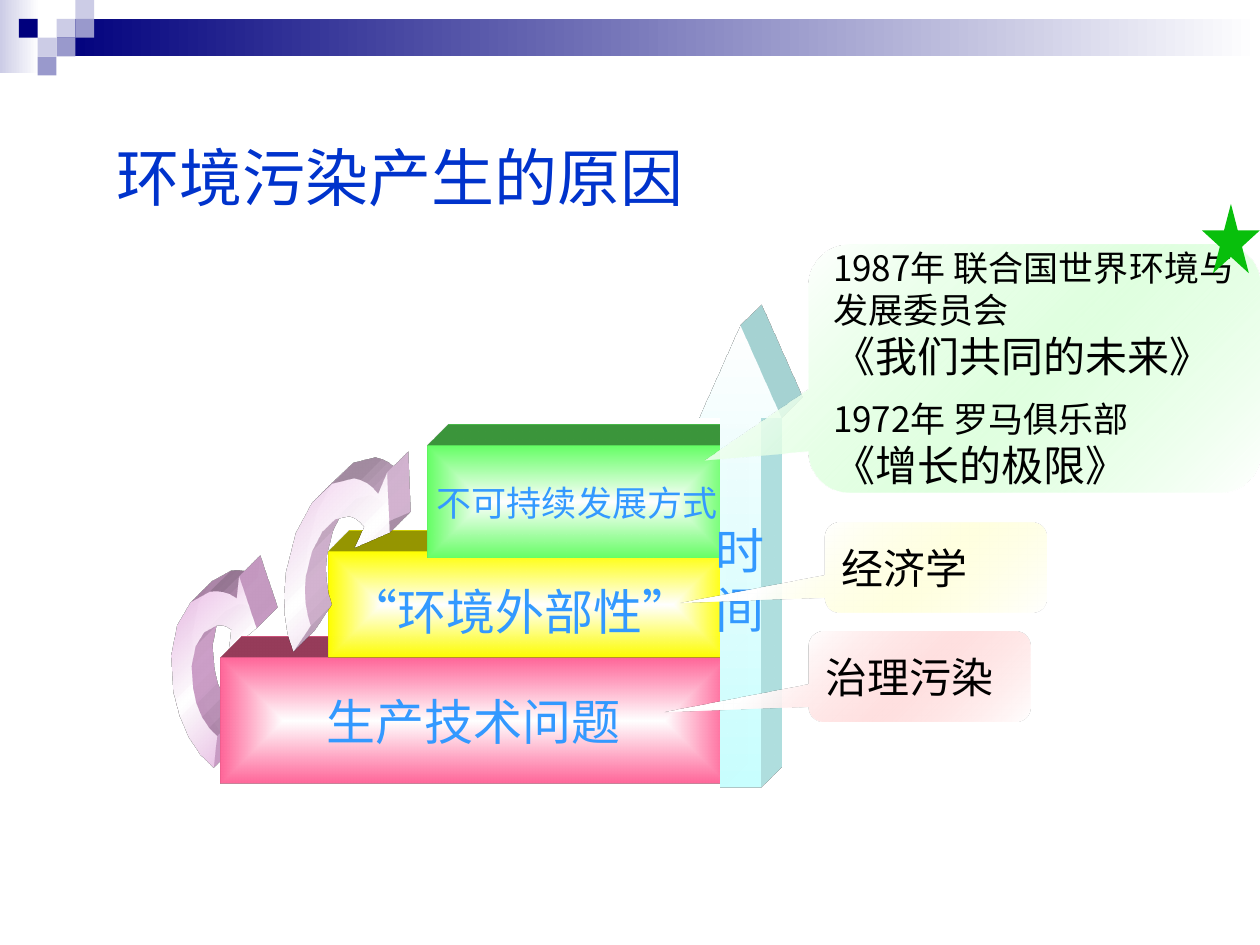
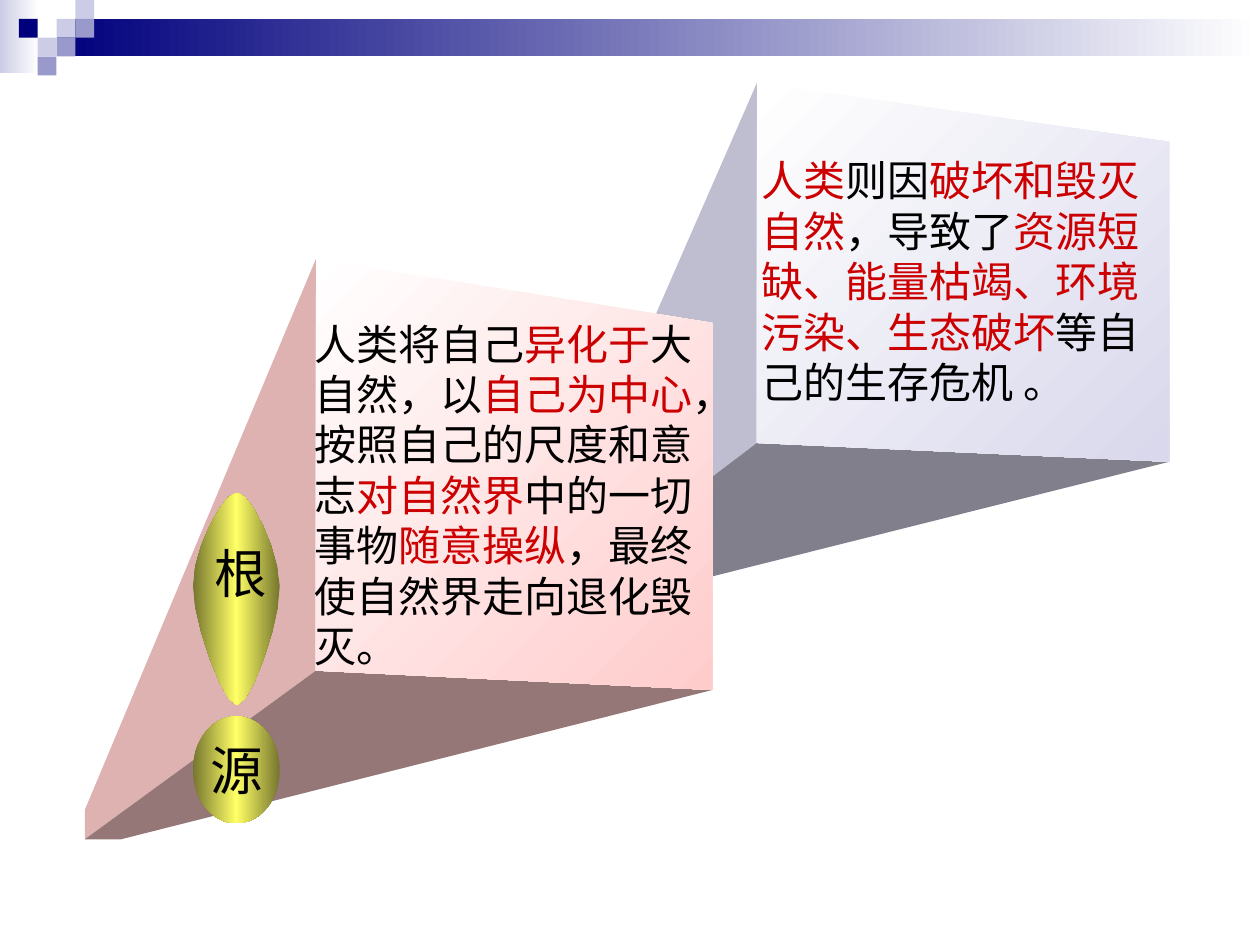
from lxml import etree
from pptx import Presentation
from pptx.dml.color import RGBColor
from pptx.enum.shapes import MSO_SHAPE
from pptx.enum.text import MSO_ANCHOR, MSO_AUTO_SIZE, PP_ALIGN
from pptx.oxml.ns import qn
from pptx.util import Cm, Pt

RECT, OVAL, STAR = MSO_SHAPE.RECTANGLE, MSO_SHAPE.OVAL, MSO_SHAPE.STAR_5_POINT
CALLOUT, UP_ARROW = MSO_SHAPE.ROUNDED_RECTANGULAR_CALLOUT, MSO_SHAPE.UP_ARROW
TOP, MIDDLE = MSO_ANCHOR.TOP, MSO_ANCHOR.MIDDLE
LEFT, CENTER = PP_ALIGN.LEFT, PP_ALIGN.CENTER


class Theme:
    font, quote_font, latin_font = "Noto Sans CJK SC", "DejaVu Sans", "Times New Roman"
    title, label, ink, accent = "0033CC", "3399FF", "000000", "CC0000"
    navy, violet, lilac, white = "00007D", "9999CC", "CCCCE6", "FFFFFF"
    star, time = "08BF0C", "C9FFFF"
    gold = [(0, "76762F"), (50, "FFFF66"), (100, "76762F")]
    title_size, label_size, root_size = 36, 28, 30
    body_size, note_size = 24, 20


# Lengths are centimetres; a box is left, top, width, height.
CELL = 0.38
CELLS = [(3, 1, Theme.lilac), (4, 0, Theme.lilac), (4, 1, Theme.violet),
         (2, 2, Theme.lilac), (1, 1, Theme.navy), (3, 2, Theme.violet),
         (2, 3, Theme.violet)]
FADES = [((0, 0, 0.79, 1.47), Theme.lilac), ((1.14, 0.38, 24.26, 0.76), Theme.navy)]

TITLE = "环境污染产生的原因"
TITLE_BOX = (2.09, 2.66, 19, 1.63)

DEPTH = 1.2
# box, fill, size, spans of (text, colour, font, size)
STAIRS = [
    ((4.45, 13.26, 10.19, 2.54), "FF6699", Theme.label_size, [("生产技术问题",)]),
    ((6.63, 11.13, 8, 2.13), "FFFF00", Theme.label_size,
     [("“", None, Theme.quote_font), ("环境外部性",), ("”", None, Theme.quote_font),
      (" ", None, Theme.font, 36)]),
    ((8.61, 8.99, 6.05, 2.26), "66FF66", Theme.note_size, [("不可持续发展方式",)]),
]
TIME_BOX = (14.1, 6.57, 1.65, 9.3)
TIME_HEAD = 1.13
TIME_TEXT = ["时", "间"]

# Outlines: a pair is a corner, three pairs are a Bezier curve.
LOWER_SWIRL = [
    (4.67, 12.7), ((4.57, 12.62), (4.47, 12.6), (4.37, 12.62)),
    ((4.01, 12.67), (3.78, 13.26), (3.91, 13.89)),
    ((3.96, 14.3), (4.17, 14.66), (4.39, 14.83)), (4.32, 15.47),
    ((3.94, 15.19), (3.63, 14.61), (3.51, 13.94)),
    ((3.33, 12.93), (3.66, 12.04), (4.24, 11.94)),
    ((4.42, 11.91), (4.6, 11.94), (4.78, 12.07)),
    (4.83, 11.63), (5.18, 12.67), (4.62, 13.13)]
UPPER_SWIRL = [
    (7.34, 10.62), ((7.24, 10.49), (7.14, 10.44), (7.04, 10.41)),
    ((6.65, 10.36), (6.27, 10.9), (6.17, 11.61)),
    ((6.12, 11.96), (6.17, 12.34), (6.27, 12.6)), (5.92, 13.13),
    ((5.74, 12.73), (5.69, 12.14), (5.77, 11.53)),
    ((5.92, 10.41), (6.55, 9.58), (7.14, 9.65)),
    ((7.32, 9.68), (7.49, 9.78), (7.62, 9.96)),
    (7.8, 9.53), (7.85, 10.74), (7.14, 11.05)]
LENS = [
    (4.78, 14.22), ((4.5, 14.22), (3.89, 12.52), (3.89, 11.81)),
    ((3.89, 11.07), (4.5, 9.93), (4.78, 9.93)),
    ((5.05, 9.93), (5.61, 11.07), (5.64, 11.81)),
    ((5.66, 12.52), (5.05, 14.22), (4.78, 14.22))]

# box, tint, tail position, paragraphs of (text, size, space before)
NOTES = [
    ((16.3, 4.93, 9.1, 5), "CCFFCC", (-0.73, 0.37), [
        ("1987年 联合国世界环境与发展委员会", Theme.note_size, 0),
        ("《我们共同的未来》", Theme.body_size, 0),
        ("1972年 罗马俱乐部", Theme.note_size, 9.6),
        ("《增长的极限》", Theme.body_size, 0)]),
    ((16.62, 10.54, 4.47, 1.8), "FFFFCC", (-1.15, 0.39),
     [("经济学", Theme.body_size, 0)]),
    ((16.31, 12.74, 4.47, 1.8), "FFCCCC", (-1.15, 0.39),
     [("治理污染", Theme.body_size, 0)]),
]
STAR_BOX = (24.23, 4.11, 1.17, 1.4)

RED = Theme.accent
# Front corners run clockwise from top left; back corners: top left, bottom left, bottom right.
PRISMS = [
    dict(front=[(15.26, 1.67), (23.57, 2.86), (23.57, 9.31), (15.26, 8.93)],
         back=[(10.81, 11.85), (10.81, 12.3), (11.49, 12.34)],
         tint="D9D8EC", side="BFBDD0", base="817F8B",
         box=(15.11, 3, 8.61, 5.33), font=Theme.font,
         spans=[("人类", RED), ("则因",), ("破坏和毁灭自然", RED), ("，导致了",),
                ("资源短缺、能量枯竭、环境污染、生态破坏", RED), ("等自己的生存危机 。",)]),
    dict(front=[(6.37, 5.22), (14.36, 6.51), (14.36, 13.91), (6.37, 13.52)],
         back=[(1.71, 16.33), (1.71, 16.92), (2.44, 16.92)],
         tint="FFCCCC", side="DFB2B2", base="967777",
         box=(6.1, 6.29, 8.2, 7.37), font=Theme.latin_font,
         spans=[("人类将自己",), ("异化于", RED), ("大自然，以",), ("自己为中心", RED),
                ("，按照自己的尺度和意志",), ("对自然界", RED), ("中的一切事物",),
                ("随意操纵", RED), ("，最终使自然界走向退化毁灭。",)]),
]
ROOT_BOX = (4.08, 10.78, 1.4, 1.52)
SOURCE_BOX = (3.89, 14.44, 1.75, 2.16)


def paint(shape, fill, angle=0):
    """Fill with one colour or with (position, colour[, opacity]) stops; angle None radiates."""
    shape.shadow.inherit = False
    shape.line.fill.background()
    if isinstance(fill, str):
        shape.fill.solid()
        shape.fill.fore_color.rgb = RGBColor.from_string(fill)
        return
    shape.fill.gradient()
    gradient = shape.element.spPr.find(qn("a:gradFill"))
    for child in list(gradient):
        gradient.remove(child)
    stops = etree.SubElement(gradient, qn("a:gsLst"))
    for position, color, *opacity in fill:
        stop = etree.SubElement(stops, qn("a:gs"), pos=str(position * 1000))
        tone = etree.SubElement(stop, qn("a:srgbClr"), val=color)
        stop.append(tone)
        if opacity:
            etree.SubElement(tone, qn("a:alpha"), val=str(opacity[0] * 1000))
    if angle is None:
        path = etree.SubElement(gradient, qn("a:path"), path="shape")
        etree.SubElement(path, qn("a:fillToRect"), {side: "50000" for side in "ltrb"})
    else:
        etree.SubElement(gradient, qn("a:lin"), ang=str(angle * 60000), scaled="0")


def extrude(shape, color):
    """Give a painted shape a solid depth towards the upper right."""
    properties = shape.element.spPr
    scene = etree.SubElement(properties, qn("a:scene3d"))
    etree.SubElement(scene, qn("a:camera"), prst="legacyObliqueTopRight")
    etree.SubElement(scene, qn("a:lightRig"), rig="legacyFlat3", dir="b")
    solid = etree.SubElement(properties, qn("a:sp3d"),
                             extrusionH=str(Cm(DEPTH)), prstMaterial="legacyMatte")
    side = etree.SubElement(solid, qn("a:extrusionClr"))
    etree.SubElement(side, qn("a:srgbClr"), val=color)


def add_preset(page, kind, box, fill, angle=0):
    shape = page.shapes.add_shape(kind, *map(Cm, box))
    paint(shape, fill, angle)
    return shape


def add_outline(page, points, fill, angle=0):
    (start, *others) = [(Cm(x), Cm(y)) for x, y in points]
    builder = page.shapes.build_freeform(*start)
    builder.add_line_segments(others, close=True)
    shape = builder.convert_to_shape()
    paint(shape, fill, angle)
    return shape


def set_frame(shape, anchor, wrap=True):
    frame = shape.text_frame
    frame.word_wrap = wrap
    frame.vertical_anchor = anchor
    frame.auto_size = MSO_AUTO_SIZE.NONE
    return frame


def write(frame, spans, size, color=Theme.ink, align=LEFT, font=Theme.font, before=0):
    """Add one paragraph made of (text[, colour[, font[, size]]]) spans."""
    para = frame.paragraphs[0]
    if para.runs:
        para = frame.add_paragraph()
    para.alignment = align
    if before:
        para.space_before = Pt(before)
    para.font.size = Pt(size)
    para.font.color.rgb = RGBColor.from_string(color)
    para.font.name = font
    defaults = para.font._element.find(qn("a:latin"))
    defaults.addnext(etree.Element(qn("a:ea"), typeface=Theme.font))
    for text, *style in spans:
        span = para.add_run()
        span.text = text
        if style and style[0]:
            span.font.color.rgb = RGBColor.from_string(style[0])
        if len(style) > 1:
            span.font.name = style[1]
        if len(style) > 2:
            span.font.size = Pt(style[2])


def trace(outline, steps=4):
    """Turn corners and Bezier curves into a list of points."""
    points = []
    for part in outline:
        if not isinstance(part[0], tuple):
            points.append(part)
            continue
        controls = [points[-1], *part]
        for step in range(1, steps + 1):
            t = step / steps
            weights = ((1 - t) ** 3, 3 * t * (1 - t) ** 2, 3 * t * t * (1 - t), t ** 3)
            points.append(tuple(sum(w * c[axis] for w, c in zip(weights, controls))
                                for axis in (0, 1)))
    return points


def add_swirl(page, outline, tint):
    stops = [(0, tint, 90), (50, Theme.white), (100, tint, 90)]
    extrude(add_outline(page, trace(outline), stops, 45), tint)


def add_stair(page, box, fill, size, spans):
    block = add_preset(page, RECT, box, [(0, Theme.white), (100, fill)], None)
    extrude(block, fill)
    write(set_frame(block, MIDDLE, False), spans, size, Theme.label, CENTER)


def add_time_arrow(page):
    arrow = add_preset(page, UP_ARROW, TIME_BOX, [(0, Theme.white), (100, Theme.time)], 90)
    arrow.adjustments[1] = TIME_HEAD
    extrude(arrow, Theme.time)
    frame = set_frame(arrow, MIDDLE, False)
    for text in TIME_TEXT:
        write(frame, [(text,)], Theme.label_size, Theme.label, CENTER)


def add_note(page, box, tint, tail, lines):
    note = add_preset(page, CALLOUT, box,
                      [(0, Theme.white), (50, tint, 60), (100, Theme.white)], 45)
    note.adjustments[0], note.adjustments[1] = tail
    frame = set_frame(note, MIDDLE)
    for text, size, before in lines:
        write(frame, [(text,)], size, before=before)


def add_prism(page, front, back, tint, side, base, **_):
    top_left, _, bottom_right, bottom_left = front
    add_outline(page, [top_left, back[0], back[1], bottom_left], side)
    add_outline(page, [bottom_left, bottom_right, back[2], back[1]], base)
    add_outline(page, front, [(0, Theme.white), (100, tint)], 45)


def add_text(page, box, spans, size, font=Theme.font, wrap=True):
    area = page.shapes.add_textbox(*map(Cm, box))
    write(set_frame(area, TOP, wrap), spans, size, font=font)


def decorate_master(deck, page):
    """Draw the header once and hand it to the slide master."""
    pieces = [add_preset(page, RECT, box, [(0, color), (100, Theme.white)])
              for box, color in FADES]
    pieces += [add_preset(page, RECT, (col * CELL, row * CELL, CELL, CELL), color)
               for col, row, color in CELLS]
    tree = deck.slide_master.shapes.element
    for number, piece in enumerate(pieces, 100):
        piece.element.nvSpPr.cNvPr.set("id", str(number))
        tree.append(piece.element)


def build_causes(page):
    title = page.shapes.title
    title.left, title.top, title.width, title.height = map(Cm, TITLE_BOX)
    write(set_frame(title, TOP), [(TITLE,)], Theme.title_size, Theme.title)
    add_swirl(page, LOWER_SWIRL, "EAB6E5")
    for stair in STAIRS:
        add_stair(page, *stair)
    add_swirl(page, UPPER_SWIRL, "F1CDEE")
    add_time_arrow(page)
    for note in NOTES:
        add_note(page, *note)
    add_preset(page, STAR, STAR_BOX, Theme.star)


def build_root(page):
    for prism in PRISMS:
        add_prism(page, **prism)
    add_outline(page, trace(LENS, 6), Theme.gold)
    source = add_preset(page, OVAL, SOURCE_BOX, Theme.gold)
    write(set_frame(source, MIDDLE, False), [("源",)], Theme.root_size, align=CENTER)
    add_text(page, ROOT_BOX, [("根",)], Theme.root_size, wrap=False)
    for prism in PRISMS:
        add_text(page, prism["box"], prism["spans"], Theme.body_size, prism["font"])


def main():
    deck = Presentation()
    deck.slide_width, deck.slide_height = Cm(25.4), Cm(19.05)
    causes = deck.slides.add_slide(deck.slide_layouts[5])
    decorate_master(deck, causes)
    build_causes(causes)
    build_root(deck.slides.add_slide(deck.slide_layouts[6]))
    deck.save("out.pptx")


if __name__ == "__main__":
    main()
